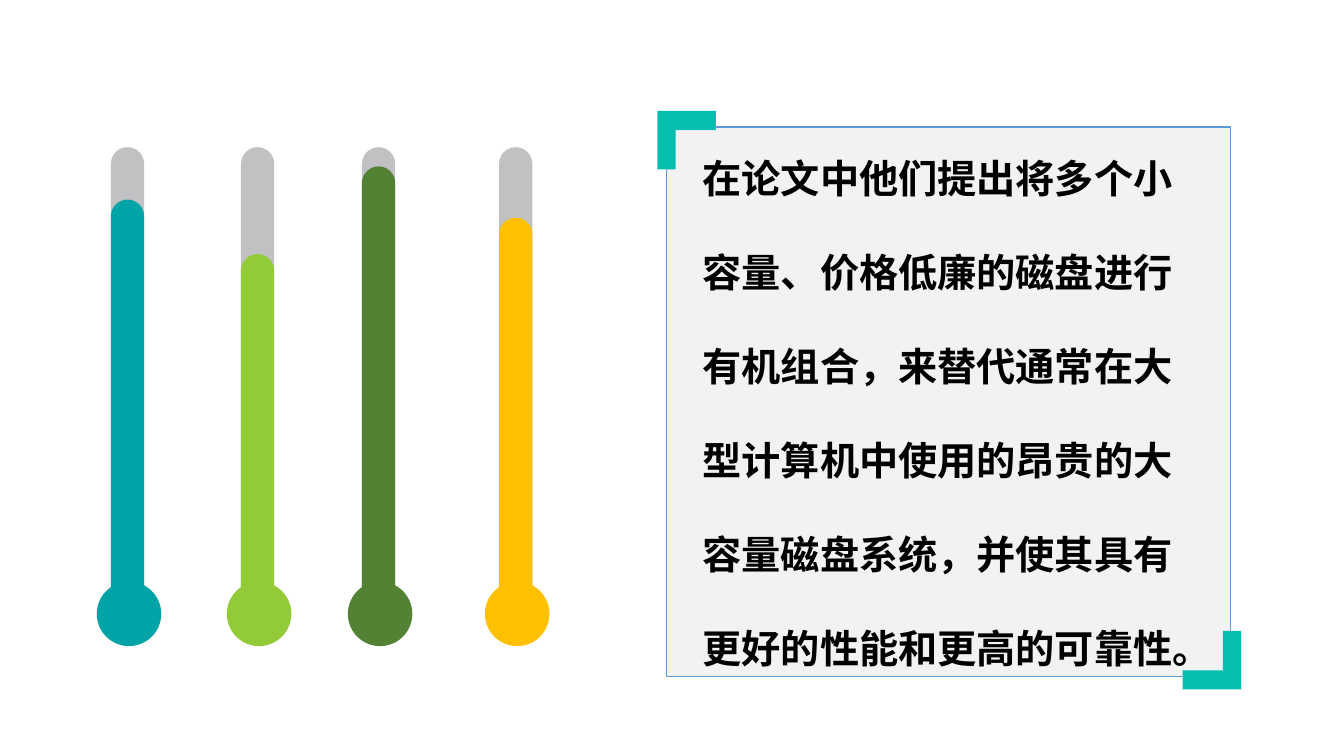
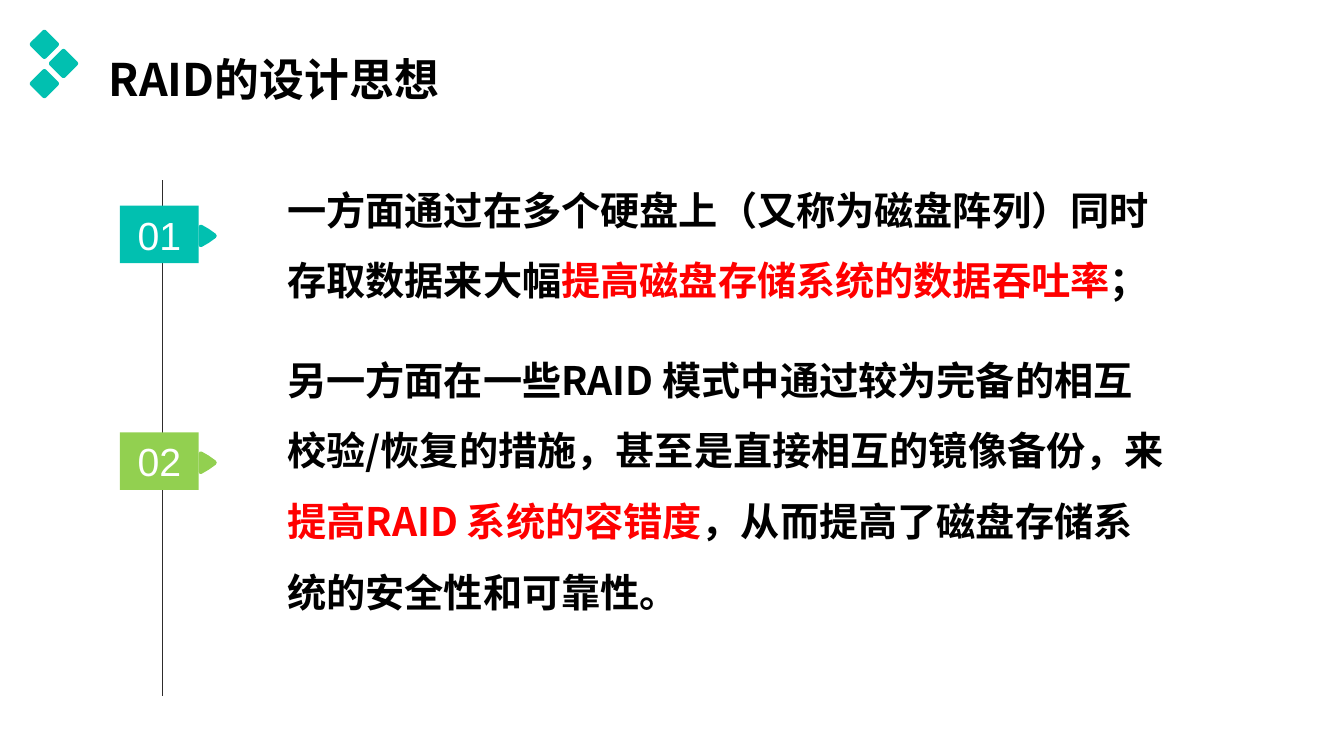
import dataclasses

import lxml.etree
import pptx
import pptx.dml.color
import pptx.enum.shapes
import pptx.enum.text
import pptx.oxml.ns
import pptx.util

Inches = pptx.util.Inches
Pt = pptx.util.Pt
qn = pptx.oxml.ns.qn
SHAPE = pptx.enum.shapes.MSO_SHAPE
ALIGN = pptx.enum.text.PP_ALIGN
ANCHOR = pptx.enum.text.MSO_ANCHOR
AUTO = pptx.enum.text.MSO_AUTO_SIZE


@dataclasses.dataclass(frozen=True)
class Theme:
    cjk: str = "Noto Sans CJK SC"
    latin: str = "Arial"
    title_size: int = 32
    body_size: int = 28
    text: str = "000000"
    accent: str = "FF0000"
    white: str = "FFFFFF"
    teal: str = "01C0B0"
    lime: str = "92D050"
    bracket: str = "04BEB0"
    tube: str = "C1C0C3"
    gauges: tuple = ("00A3A6", "93CA38", "548235", "FFC000")
    panel: str = "F2F2F2"
    panel_line: str = "5B9BD5"
    axis: str = "2E2C2C"


THEME = Theme()


def rgb(value):
    return pptx.dml.color.RGBColor.from_string(value)


def apply(obj, values):
    for name, value in values.items():
        setattr(obj, name, value)


class Deck:
    def __init__(self, theme):
        self.theme = theme
        self.prs = pptx.Presentation()
        apply(self.prs, {"slide_width": Inches(13.33), "slide_height": Inches(7.5)})
        self.s = None

    def slide(self, layout):
        self.s = self.prs.slides.add_slide(self.prs.slide_layouts.get_by_name(layout))

    def paint(self, sp, fill, line=None):
        sp.shadow.inherit = False
        sp.fill.solid()
        sp.fill.fore_color.rgb = rgb(fill)
        if line:
            sp.line.color.rgb = rgb(line)
            sp.line.width = Pt(0.75)
        else:
            sp.line.fill.background()
        return sp

    def shape(self, kind, box, fill, line=None, adjust=None):
        sp = self.s.shapes.add_shape(kind, *map(Inches, box))
        if adjust is not None:
            sp.adjustments[0] = adjust
        return self.paint(sp, fill, line)

    def outline(self, points, fill):
        pts = [(Inches(x), Inches(y)) for x, y in points]
        builder = self.s.shapes.build_freeform(*pts[0], scale=1.0)
        builder.add_line_segments(pts[1:], close=True)
        return self.paint(builder.convert_to_shape(), fill)

    def line(self, x1, y1, x2, y2, color):
        kind = pptx.enum.shapes.MSO_CONNECTOR.STRAIGHT
        sp = self.s.shapes.add_connector(kind, *map(Inches, (x1, y1, x2, y2)))
        sp.line.color.rgb = rgb(color)
        sp.line.width = Pt(1)
        lxml.etree.SubElement(sp._element.spPr, qn("a:effectLst"))

    def fill_text(self, sp, runs, font, size, bold=True, frame=None, para=None, indent=0):
        tf = sp.text_frame
        apply(tf, {"word_wrap": True, "auto_size": AUTO.NONE,
                   "vertical_anchor": ANCHOR.TOP, **(frame or {})})
        p = tf.paragraphs[0]
        pPr = p._p.get_or_add_pPr()
        apply(p, {"alignment": ALIGN.LEFT, "space_before": Pt(0), **(para or {})})
        pPr.set("marL", str(Inches(indent)))
        pPr.set("indent", "0")
        lxml.etree.SubElement(pPr, qn("a:buNone"))
        for text, color in runs:
            r = p.add_run()
            r.text = text
            apply(r.font, {"name": font, "size": Pt(size), "bold": bold})
            r.font.color.rgb = rgb(color)
            ea = lxml.etree.SubElement(r._r.get_or_add_rPr(), qn("a:ea"))
            ea.set("typeface", font)

    def place(self, sp, box):
        apply(sp, dict(zip(("left", "top", "width", "height"), map(Inches, box))))
        return sp

    def title(self, text, box):
        t = self.theme
        self.fill_text(self.place(self.s.shapes.title, box), [(text, t.text)],
                       t.cjk, t.title_size, frame={"word_wrap": False})

    def body(self, index, runs, box):
        t = self.theme
        self.fill_text(self.place(self.s.placeholders[index], box), runs,
                       t.cjk, t.body_size, para={"line_spacing": 1.5}, indent=0.5)

    def text(self, text, box):
        t = self.theme
        sp = self.s.shapes.add_textbox(*map(Inches, box))
        self.fill_text(sp, [(text, t.text)], t.cjk, t.body_size, para={"line_spacing": 2.0})

    def thermometer(self, x, top, color):
        bottom, width = 6.17, 0.33
        for y, fill in ((1.46, self.theme.tube), (top, color)):
            self.shape(SHAPE.ROUNDED_RECTANGLE, (x, y, width, bottom - y), fill, adjust=0.5)
        self.shape(SHAPE.OVAL, (x - 0.14, 5.77, 0.64, 0.64), color)

    def bracket(self, x, y, sign):
        corner = [(0, 0), (0.58, 0), (0.58, 0.19), (0.18, 0.19), (0.18, 0.58), (0, 0.58)]
        self.outline([(x + sign * dx, y + sign * dy) for dx, dy in corner],
                     self.theme.bracket)

    def diamonds(self):
        side = 0.22
        for x, y in ((0.44, 0.44), (0.63, 0.63), (0.44, 0.83)):
            box = (x - side / 2, y - side / 2, side, side)
            sp = self.shape(SHAPE.ROUNDED_RECTANGLE, box, self.theme.teal, adjust=0.12)
            sp.rotation = 45

    def tag(self, label, y, color):
        t = self.theme
        x, width, height = 1.19, 0.78, 0.57
        right, middle = x + width, y + 0.3
        half = [(0, 0.09), (0.01, 0.11), (0.03, 0.11), (0.1, 0.07), (0.17, 0.02)]
        upper = [(right + dx, middle - dy) for dx, dy in half]
        lower = [(right + dx, middle + dy) for dx, dy in reversed(half)]
        self.outline(upper + [(right + 0.18, middle)] + lower, color)
        sp = self.shape(SHAPE.RECTANGLE, (x, y, width, height), color)
        self.fill_text(sp, [(label, t.white)], t.latin, t.body_size, bold=False,
                       frame={"vertical_anchor": ANCHOR.MIDDLE},
                       para={"alignment": ALIGN.CENTER})


def origin_slide(deck):
    t = deck.theme
    deck.slide("Blank")
    gauges = ((1.1, 1.98), (2.39, 2.52), (3.59, 1.65), (4.95, 2.16))
    for (x, top), color in zip(gauges, t.gauges):
        deck.thermometer(x, top, color)
    deck.shape(SHAPE.RECTANGLE, (6.61, 1.26, 5.59, 5.45), t.panel, t.panel_line)
    deck.bracket(6.52, 1.1, 1)
    deck.bracket(12.31, 6.84, -1)
    deck.text("在论文中他们提出将多个小容量、价格低廉的磁盘进行有机组合，"
              "来替代通常在大型计算机中使用的昂贵的大容量磁盘系统，"
              "并使其具有更好的性能和更高的可靠性。", (6.87, 1.01, 5.06, 5.61))


def design_slide(deck):
    t = deck.theme
    deck.slide("Two Content")
    deck.diamonds()
    deck.line(1.61, 1.79, 1.61, 6.9, t.axis)
    deck.tag("01", 2.04, t.teal)
    deck.tag("02", 4.29, t.lime)
    deck.title("RAID的设计思想", (0.98, 0.46, 3.6, 0.64))
    deck.body(1, [("一方面通过在多个硬盘上（又称为磁盘阵列）同时存取数据来大幅", t.text),
                  ("提高磁盘存储系统的数据吞吐率", t.accent),
                  ("；", t.text)], (2.25, 1.56, 9.43, 1.51))
    deck.body(2, [("另一方面在一些RAID 模式中通过较为完备的相互校验/恢复的措施，"
                   "甚至是直接相互的镜像备份，来", t.text),
                  ("提高RAID 系统的容错度", t.accent),
                  ("，从而提高了磁盘存储系统的安全性和可靠性。", t.text)],
              (2.25, 3.25, 9.43, 2.93))


def main():
    deck = Deck(THEME)
    origin_slide(deck)
    design_slide(deck)
    deck.prs.save("out.pptx")


if __name__ == "__main__":
    main()
